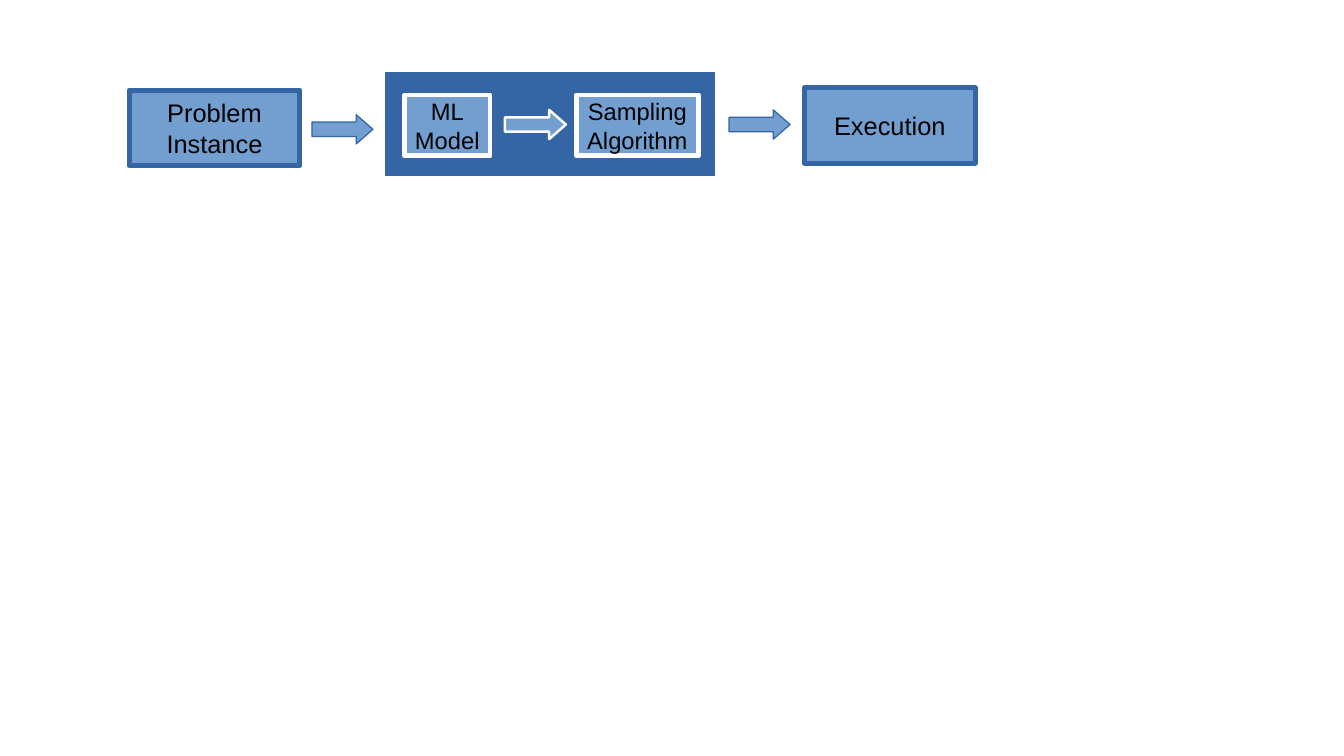
from dataclasses import dataclass

import pptx
import pptx.dml.color
import pptx.enum.shapes
import pptx.enum.text
import pptx.oxml
import pptx.oxml.ns
import pptx.shapes.autoshape
import pptx.shapes.shapetree
import pptx.util
from pptx.util import Cm, Pt

KIND = pptx.enum.shapes.MSO_SHAPE


@dataclass(frozen=True)
class Theme:
    font: str = "Arial"
    ink: str = "000000"
    pale: str = "729FCF"
    deep: str = "3465A4"
    white: str = "FFFFFF"
    large: float = 15
    small: float = 14
    thick: float = 2.89
    thin: float = 1.45
    hair: float = 0


@dataclass(frozen=True)
class Box:
    text: str
    left: float
    top: float
    width: float
    height: float
    line: str
    size: float


@dataclass(frozen=True)
class Arrow:
    left: float
    top: float
    line: str
    weight: float


THEME = Theme()
PANEL = (8.03, 1.52, 6.86, 2.13)
ARROW_SIZE = (1.27, 0.61)

BOXES = [
    Box("Sampling\nAlgorithm", 12.01, 1.98, 2.54, 1.27, THEME.white, THEME.small),
    Box("ML\nModel", 8.43, 1.98, 1.78, 1.27, THEME.white, THEME.small),
    Box("Problem\nInstance", 2.69, 1.88, 3.56, 1.57, THEME.deep, THEME.large),
    Box("Execution", 16.76, 1.83, 3.56, 1.57, THEME.deep, THEME.large),
]
ARROWS = [
    Arrow(6.5, 2.39, THEME.deep, THEME.hair),
    Arrow(10.52, 2.29, THEME.white, THEME.thin),
    Arrow(15.19, 2.29, THEME.deep, THEME.hair),
]


def rgb(code: str) -> pptx.dml.color.RGBColor:
    return pptx.dml.color.RGBColor.from_string(code)


def add_form(
    shapes: pptx.shapes.shapetree.GroupShapes,
    kind: KIND,
    place: tuple[float, float, float, float],
    fill: str,
    line: str,
    weight: float,
) -> pptx.shapes.autoshape.Shape:
    form = shapes.add_shape(kind, *(Cm(value) for value in place))
    form.shadow.inherit = False
    form.fill.solid()
    form.fill.fore_color.rgb = rgb(fill)
    form.line.color.rgb = rgb(line)
    form.line.width = Pt(weight)
    return form


def add_box(shapes: pptx.shapes.shapetree.GroupShapes, box: Box) -> None:
    place = (box.left, box.top, box.width, box.height)
    form = add_form(shapes, KIND.RECTANGLE, place, THEME.pale, box.line, THEME.thick)
    # Round the corners of the thick frame
    edge = form.element.spPr.find(pptx.oxml.ns.qn("a:ln"))
    edge.append(pptx.oxml.parse_xml(f'<a:round {pptx.oxml.ns.nsdecls("a")}/>'))

    frame = form.text_frame
    frame.text = box.text
    frame.word_wrap = False
    frame.vertical_anchor = pptx.enum.text.MSO_ANCHOR.MIDDLE
    frame.margin_left = frame.margin_right = Cm(0.3)
    frame.margin_top = frame.margin_bottom = Cm(0.18)
    for para in frame.paragraphs:
        para.alignment = pptx.enum.text.PP_ALIGN.CENTER
        for run in para.runs:
            run.font.name = THEME.font
            run.font.size = Pt(box.size)
            run.font.color.rgb = rgb(THEME.ink)


def add_arrow(shapes: pptx.shapes.shapetree.GroupShapes, arrow: Arrow) -> None:
    place = (arrow.left, arrow.top, *ARROW_SIZE)
    form = add_form(
        shapes, KIND.RIGHT_ARROW, place, THEME.pale, arrow.line, arrow.weight
    )
    form.adjustments[0] = 0.49
    form.adjustments[1] = 0.57


def main() -> None:
    deck = pptx.Presentation()
    deck.slide_width, deck.slide_height = Cm(28), Cm(15.75)
    slide = deck.slides.add_slide(deck.slide_layouts[6])
    shapes = slide.shapes.add_group_shape().shapes

    # Panel behind the model and the sampling step
    add_form(shapes, KIND.RECTANGLE, PANEL, THEME.deep, THEME.deep, THEME.hair)

    # Steps of the flow
    for box in BOXES:
        add_box(shapes, box)

    # Arrows between the steps
    for arrow in ARROWS:
        add_arrow(shapes, arrow)

    deck.save("out.pptx")


if __name__ == "__main__":
    main()
